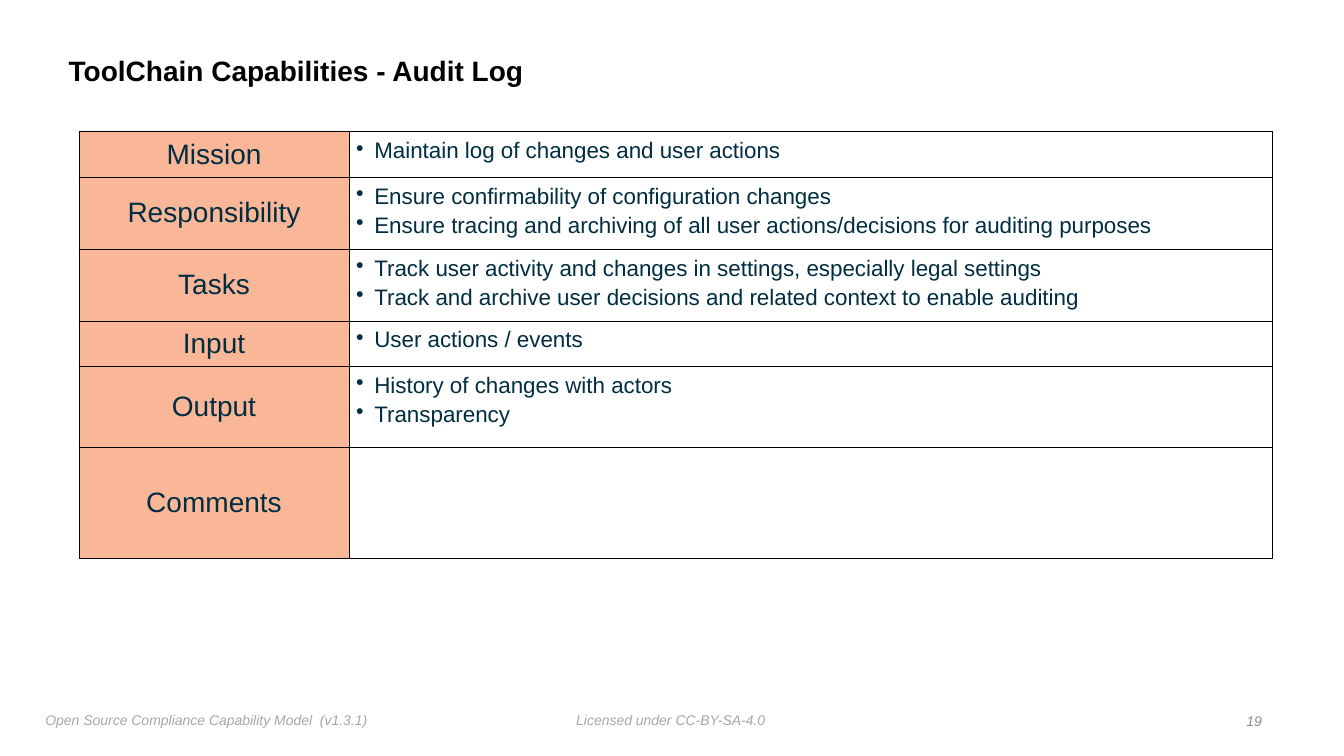
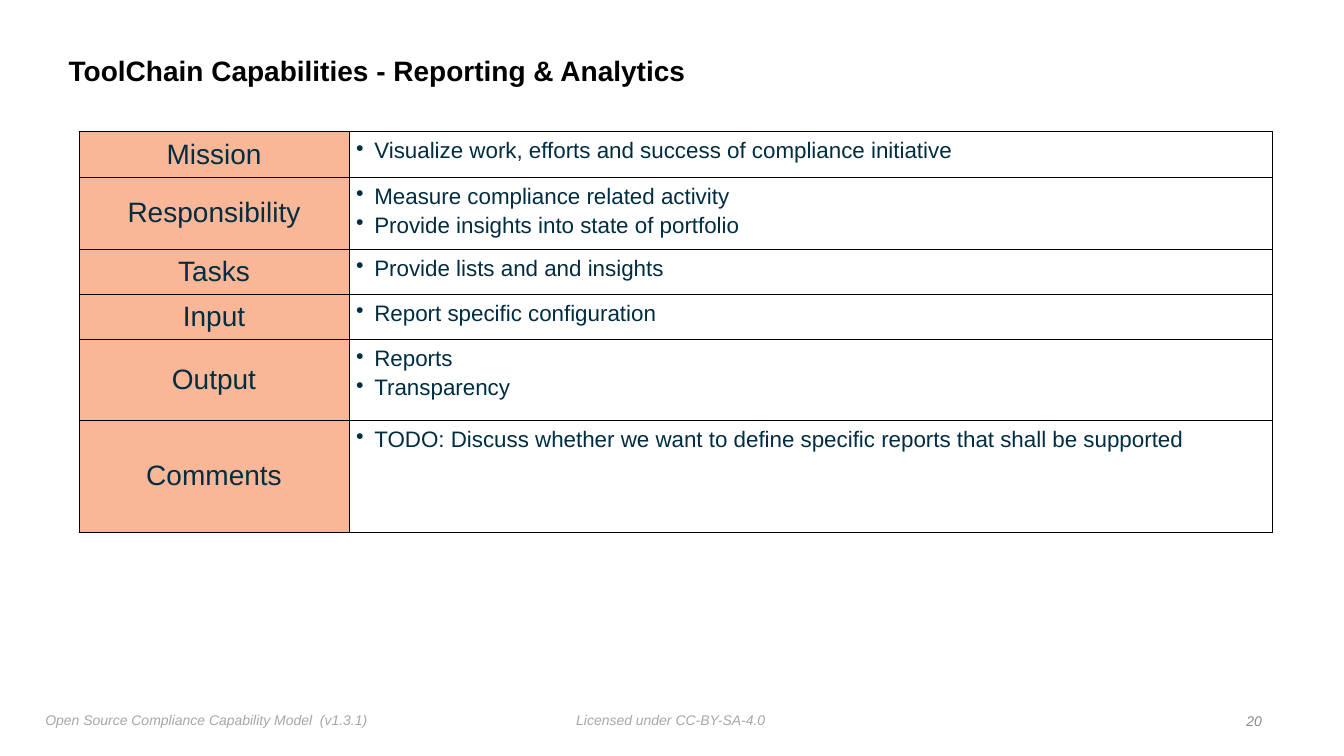
from pptx import Presentation
from pptx.dml.color import RGBColor
from pptx.enum.text import MSO_ANCHOR, PP_ALIGN
from pptx.oxml import parse_xml
from pptx.oxml.ns import nsdecls
from pptx.util import Pt

TOP, MID = MSO_ANCHOR.TOP, MSO_ANCHOR.MIDDLE
LEFT, CENTER, RIGHT = PP_ALIGN.LEFT, PP_ALIGN.CENTER, PP_ALIGN.RIGHT

THEME = {
    "face": "Arial",
    "fill": RGBColor.from_string("FAB798"),
    "edge": "000000",
    "title": {"size": Pt(20), "bold": True, "color": "000000"},
    "label": {"size": Pt(20), "color": "002D41"},
    "body": {"size": Pt(16), "color": "002D41"},
    "foot": {"size": Pt(10), "italic": True, "color": "A7A7A7"},
    "page": {"size": Pt(10), "italic": True, "color": "888C91"},
}
LABELS = ["Mission", "Responsibility", "Tasks", "Input", "Output", "Comments"]
COLS = [193, 659.4]
ONE, TWO = 32.4, 48.6
FLOOR = {"Output": 57.6, "Comments": 79.9}

SLIDES = [
    (19, "ToolChain Capabilities - Audit Log", [
        ["Maintain log of changes and user actions"],
        ["Ensure confirmability of configuration changes",
         "Ensure tracing and archiving of all user actions/decisions for auditing purposes"],
        ["Track user activity and changes in settings, especially legal settings",
         "Track and archive user decisions and related context to enable auditing"],
        ["User actions / events"],
        ["History of changes with actors", "Transparency"],
        [],
    ]),
    (20, "ToolChain Capabilities - Reporting & Analytics", [
        ["Visualize work, efforts and success of compliance initiative"],
        ["Measure compliance related activity",
         "Provide insights into state of portfolio"],
        ["Provide lists and and insights"],
        ["Report specific configuration"],
        ["Reports", "Transparency"],
        ["TODO: Discuss whether we want to define specific reports that shall be supported"],
    ]),
]


def write(para, text, style, align=LEFT):
    para.alignment = align
    run = para.add_run()
    run.text = text
    run.font.name = THEME["face"]
    for key, value in THEME[style].items():
        if key == "color":
            run.font.color.rgb = RGBColor.from_string(value)
        else:
            setattr(run.font, key, value)


def frame(cell, pad, anchor):
    for side in ("left", "top", "right", "bottom"):
        setattr(cell, f"margin_{side}", Pt(pad))
    cell.vertical_anchor = anchor


deck = Presentation()
deck.slide_width, deck.slide_height = Pt(960), Pt(540)
blank = deck.slide_layouts[6]

for number, title, rows in SLIDES:
    slide = deck.slides.add_slide(blank)

    texts = [
        (title, "title", (45.4, 28.1, 774, 46.8), MID, LEFT, True),
        ("Licensed under CC-BY-SA-4.0", "foot", (408, 504.7, 143.3, 18), TOP, LEFT, False),
        ("Open Source Compliance Capability Model  (v1.3.1)", "foot",
         (28.8, 504.7, 242, 19.4), TOP, LEFT, False),
        (str(number), "page", (885.6, 506.2, 19.4, 18), MID, RIGHT, False),
    ]
    for text, style, place, anchor, align, wrap in texts:
        box = slide.shapes.add_textbox(*map(Pt, place)).text_frame
        box.word_wrap = wrap
        frame(box, 3.6, anchor)
        write(box.paragraphs[0], text, style, align)
        if style == "title":
            box.paragraphs[0].line_spacing = 0.9

    tall = [max(TWO if len(items) > 1 else ONE, FLOOR.get(label, 0))
            for label, items in zip(LABELS, rows)]
    table = slide.shapes.add_table(
        len(rows), len(COLS), Pt(56.4), Pt(94), Pt(sum(COLS)), Pt(sum(tall))).table
    table.first_row = table.horz_banding = False
    for col, width in zip(table.columns, COLS):
        col.width = Pt(width)

    for row, height, label, items in zip(table.rows, tall, LABELS, rows):
        row.height = Pt(height)
        head, body = row.cells
        frame(head, 0, MID)
        frame(body, 5, TOP)
        for cell in (head, body):
            props = cell._tc.get_or_add_tcPr()
            for side in "LRTB":
                props.append(parse_xml(
                    f'<a:ln{side} {nsdecls("a")} w="{Pt(0.5)}"><a:solidFill>'
                    f'<a:srgbClr val="{THEME["edge"]}"/></a:solidFill></a:ln{side}>'))
        head.fill.solid()
        head.fill.fore_color.rgb = THEME["fill"]
        body.fill.background()
        write(head.text_frame.paragraphs[0], label, "label", CENTER)

        for index, item in enumerate(items):
            text = body.text_frame
            para = text.add_paragraph() if index else text.paragraphs[0]
            props = para._p.get_or_add_pPr()
            props.set("marL", str(Pt(13)))
            props.set("indent", str(Pt(-13)))
            props.append(parse_xml(f'<a:buChar {nsdecls("a")} char="•"/>'))
            if index:
                para.space_before = Pt(3)
            write(para, item, "body")

deck.save("out.pptx")
